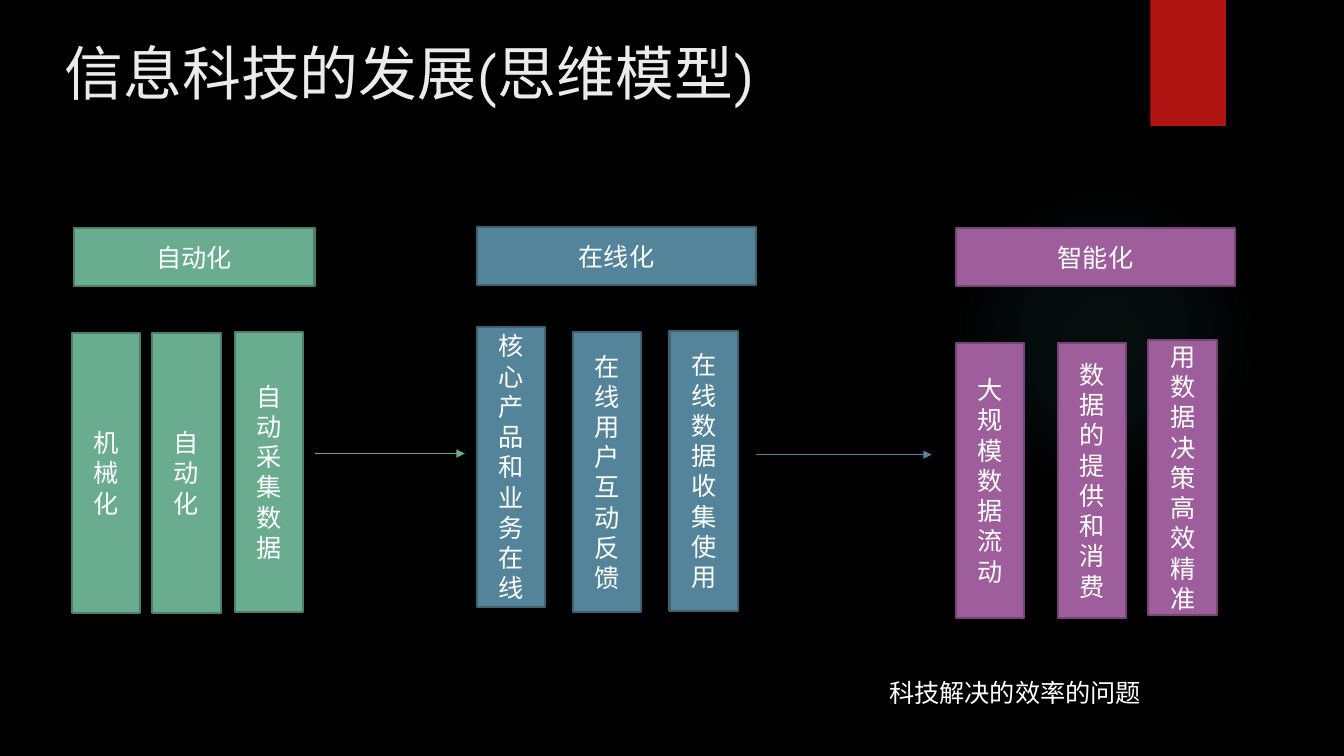
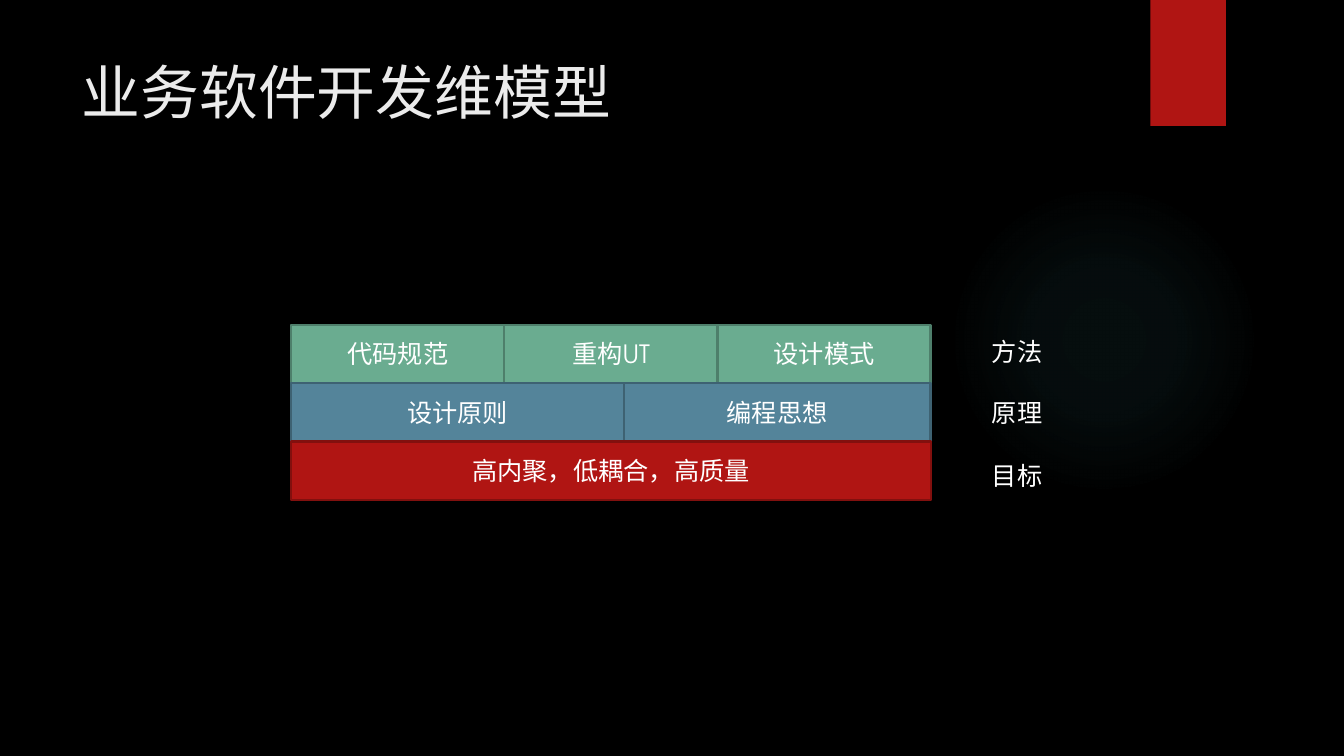
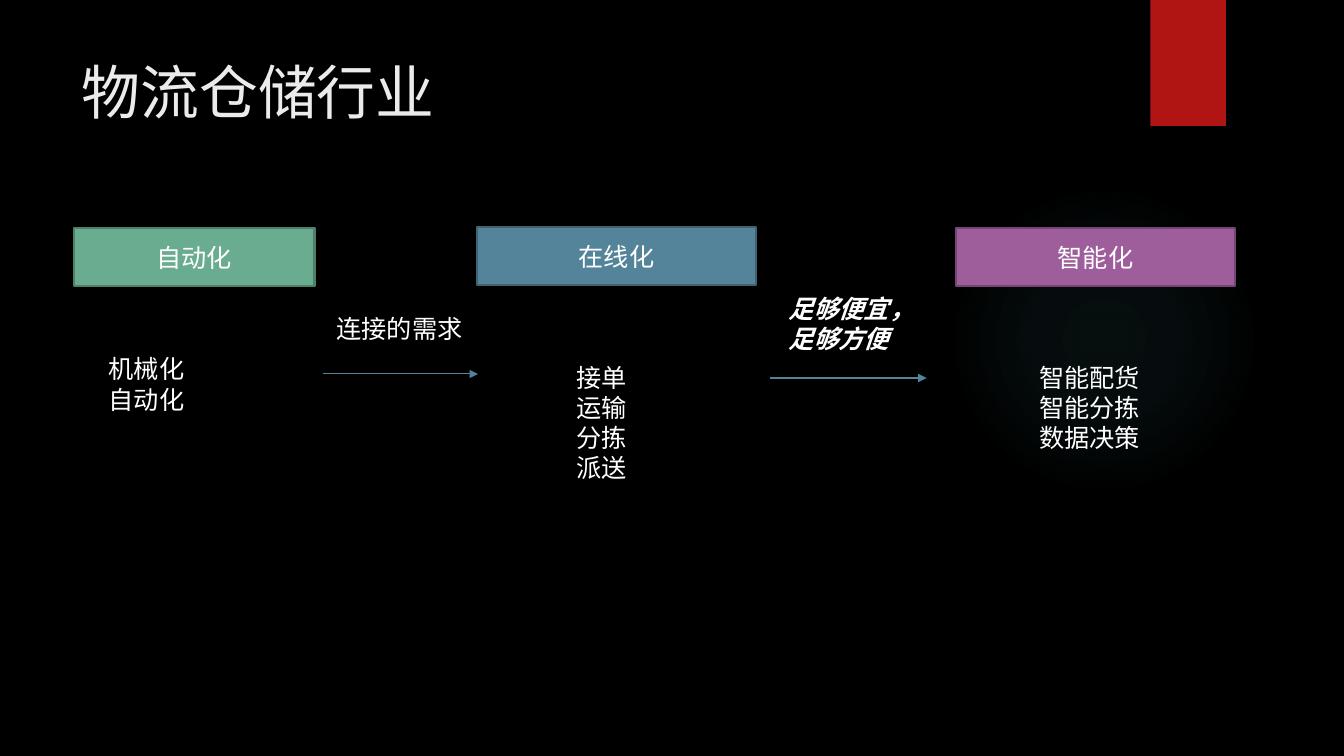
"""Build three dark slides on how information technology develops."""
from pptx import Presentation
from pptx.dml.color import RGBColor
from pptx.enum.shapes import MSO_CONNECTOR, MSO_SHAPE
from pptx.enum.text import MSO_ANCHOR, MSO_AUTO_SIZE, PP_ALIGN
from pptx.oxml import parse_xml
from pptx.oxml.ns import nsdecls
from pptx.util import Inches, Pt

RECTANGLE, OVAL = MSO_SHAPE.RECTANGLE, MSO_SHAPE.OVAL
STRAIGHT = MSO_CONNECTOR.STRAIGHT
TOP, MIDDLE = MSO_ANCHOR.TOP, MSO_ANCHOR.MIDDLE
LEFT, CENTER = PP_ALIGN.LEFT, PP_ALIGN.CENTER
FIXED, GROW = MSO_AUTO_SIZE.NONE, MSO_AUTO_SIZE.SHAPE_TO_FIT_TEXT

COLORS = {
    "background": "000000", "title": "EBEBEB", "text": "FFFFFF", "glow": "50B9C1",
    "green": "6AAC90", "green_edge": "4E7F6B",
    "blue": "54849A", "blue_edge": "3E6272",
    "purple": "9E5E9B", "purple_edge": "754673",
    "red": "B01513", "red_edge": "82100E",
}
BODY_FONT = {"name": "TeX Gyre Adventor", "size": Pt(18)}
TITLE_FONT = {**BODY_FONT, "size": Pt(42)}
EMPHASIS_FONT = {**BODY_FONT, "bold": True, "italic": True}
BLOCK_FRAME = {"word_wrap": True, "vertical_anchor": MIDDLE}
NOTE_FRAME = {"word_wrap": False, "vertical_anchor": TOP, "auto_size": GROW}
TITLE_FRAME = {"word_wrap": True, "vertical_anchor": TOP, "auto_size": FIXED}
BLOCK_HEIGHT = 0.58
BAR_WIDTH = 0.68

STAGES = [
    ("自动化", "green", (0.73, 2.26, 2.39)),
    ("在线化", "blue", (4.73, 2.25, 2.77)),
    ("智能化", "purple", (9.48, 2.26, 2.77)),
]
STAGE_BARS = [
    ("green", 2.78, [(0.71, 3.3, "机械化"), (1.51, 3.3, "自动化"),
                     (2.33, 3.29, "自动采集数据")]),
    ("blue", 2.78, [(4.73, 3.24, "核心产品和业务在线"), (5.68, 3.29, "在线用户互动反馈"),
                    (6.64, 3.28, "在线数据收集\n使用")]),
    ("purple", 2.73, [(9.48, 3.4, "大规模数据流动"), (10.49, 3.4, "数据的提供和消费"),
                      (11.39, 3.37, "用数据决策高效精准")]),
]
LAYERS = [
    ("green", "方法", 0.07, [("代码规范", 1 / 3), ("重构UT", 1 / 3), ("设计模式", 1 / 3)]),
    ("blue", "原理", 0.09, [("设计原则", 0.52), ("编程思想", 0.48)]),
    ("red", "目标", 0.14, [("高内聚，低耦合，高质量", 1)]),
]


def rgb(color):
    """Return the named colour."""
    return RGBColor.from_string(COLORS[color])


def inches(box):
    """Turn a sequence of numbers into lengths."""
    return [Inches(length) for length in box]


def write(frame, text, frame_format, font_format, color="text", align=LEFT):
    """Fill a text frame, one paragraph for each line of text."""
    frame.text = text
    for attribute, value in frame_format.items():
        setattr(frame, attribute, value)
    for paragraph in frame.paragraphs:
        paragraph.alignment = align
        for run in paragraph.runs:
            for attribute, value in font_format.items():
                setattr(run.font, attribute, value)
            run.font.color.rgb = rgb(color)


def add_block(slide, box, text, color):
    """Add a filled and outlined rectangle with centred text."""
    block = slide.shapes.add_shape(RECTANGLE, *inches(box))
    block.shadow.inherit = False
    block.fill.solid()
    block.fill.fore_color.rgb = rgb(color)
    block.line.color.rgb = rgb(color + "_edge")
    block.line.width = Pt(1.5)
    write(block.text_frame, text, BLOCK_FRAME, BODY_FONT, align=CENTER)


def add_note(slide, box, text, font_format=BODY_FONT):
    """Add plain text that does not wrap."""
    note = slide.shapes.add_textbox(*inches(box))
    write(note.text_frame, text, NOTE_FRAME, font_format)


def add_arrow(slide, left, right, y, color):
    """Add a thin level arrow that points right."""
    arrow = slide.shapes.add_connector(STRAIGHT, *inches((left, y, right, y)))
    arrow.line.color.rgb = rgb(color)
    arrow.line.width = Pt(0.75)
    arrow.line._get_or_add_ln().append(
        parse_xml(f'<a:tailEnd {nsdecls("a")} type="triangle"/>'))
    arrow.element.spPr.append(parse_xml(f'<a:effectLst {nsdecls("a")}/>'))


def add_glow(slide, box):
    """Add the faint round glow and return it."""
    glow = slide.shapes.add_shape(OVAL, *inches(box))
    glow.shadow.inherit = False
    glow.line.fill.background()
    glow.fill.background()
    stops = "".join(
        f'<a:gs pos="{place * 1000}"><a:srgbClr val="{COLORS["glow"]}">'
        f'<a:alpha val="{alpha * 1000}"/></a:srgbClr></a:gs>'
        for place, alpha in [(0, 7), (36, 6), (69, 0)])
    gradient = parse_xml(
        f'<a:gradFill {nsdecls("a")}><a:gsLst>{stops}</a:gsLst><a:path path="circle">'
        '<a:fillToRect l="50000" t="50000" r="50000" b="50000"/></a:path></a:gradFill>')
    properties = glow.element.spPr
    properties.replace(properties.find("{*}noFill"), gradient)
    return glow


def add_ribbon(slide, box):
    """Add the red ribbon with its soft shadow and return it."""
    ribbon = slide.shapes.add_shape(RECTANGLE, *inches(box))
    ribbon.shadow.inherit = False
    ribbon.fill.solid()
    ribbon.fill.fore_color.rgb = rgb("red")
    ribbon.line.fill.background()
    ribbon.element.spPr.find("{*}effectLst").append(parse_xml(
        f'<a:outerShdw {nsdecls("a")} blurRad="{Pt(3)}" dist="{Pt(2)}" dir="5400000">'
        f'<a:srgbClr val="{COLORS["background"]}"><a:alpha val="45000"/></a:srgbClr>'
        '</a:outerShdw>'))
    return ribbon


def decorate_layout(layout, slide):
    """Draw the shared decoration on a slide and move it to the layout."""
    background = layout.slide_master.background.fill
    background.solid()
    background.fore_color.rgb = rgb("background")
    decoration = [add_glow(slide, (9.41, 1.83, 3.08, 3.08)),
                  add_ribbon(slide, (11.41, 0, 0.75, 1.25))]
    for position, part in enumerate(decoration, 2):
        layout.shapes.element.insert(position, part.element)


def add_title(slide, text, left=0.71, top=0.5):
    """Place and fill the title placeholder."""
    title = slide.shapes.title
    title.left, title.top, title.width, title.height = inches((left, top, 10.29, 1.53))
    write(title.text_frame, text, TITLE_FRAME, TITLE_FONT, "title")


def add_stages(slide):
    """Add the headers of the three stages."""
    for name, color, box in STAGES:
        add_block(slide, (*box, BLOCK_HEIGHT), name, color)


def add_layers(slide, left, top, width):
    """Stack the layers, split each by share and label it on the right."""
    for row, (color, label, label_drop, cells) in enumerate(LAYERS):
        row_top = top + row * BLOCK_HEIGHT
        cell_left = left
        for text, share in cells:
            add_block(slide, (cell_left, row_top, width * share, BLOCK_HEIGHT), text, color)
            cell_left += width * share
        add_note(slide, (left + width + 0.51, row_top + label_drop, 0.71, 0.4), label)


def build_development(slide):
    """Build the slide on the stages of information technology."""
    add_title(slide, "信息科技的发展(思维模型)", 0.54, 0.31)
    add_stages(slide)
    for color, height, bars in STAGE_BARS:
        for left, top, text in bars:
            add_block(slide, (left, top, BAR_WIDTH, height), text, color)
    add_arrow(slide, 3.12, 4.61, 4.5, "green")
    add_arrow(slide, 7.5, 9.24, 4.51, "blue")
    add_note(slide, (8.72, 6.67, 2.73, 0.4), "科技解决的效率的问题")


def build_software(slide):
    """Build the slide on the layers of software development."""
    add_title(slide, "业务软件开发维模型")
    add_layers(slide, 2.89, 3.22, 6.34)


def build_logistics(slide):
    """Build the slide on logistics and warehousing."""
    add_title(slide, "物流仓储行业")
    add_stages(slide)
    add_note(slide, (0.98, 3.46, 0.96, 0.71), "机械化\n自动化")
    add_note(slide, (5.62, 3.54, 0.71, 1.31), "接单\n运输\n分拣\n派送")
    add_note(slide, (10.21, 3.54, 1.2, 1.01), "智能配货\n智能分拣\n数据决策")
    add_note(slide, (3.24, 3.06, 1.46, 0.4), "连接的需求")
    add_note(slide, (7.72, 2.86, 1.46, 0.71), "足够便宜，\n足够方便", EMPHASIS_FONT)
    add_arrow(slide, 3.2, 4.74, 3.71, "blue")
    add_arrow(slide, 7.64, 9.19, 3.75, "blue")


def main():
    """Build and save the presentation."""
    deck = Presentation()
    deck.slide_width, deck.slide_height = inches((13.33, 7.5))
    layout = deck.slide_layouts[5]
    builders = [build_development, build_software, build_logistics]
    slides = [deck.slides.add_slide(layout) for _ in builders]
    decorate_layout(layout, slides[0])
    for build, slide in zip(builders, slides):
        build(slide)
    deck.save("out.pptx")


if __name__ == "__main__":
    main()
